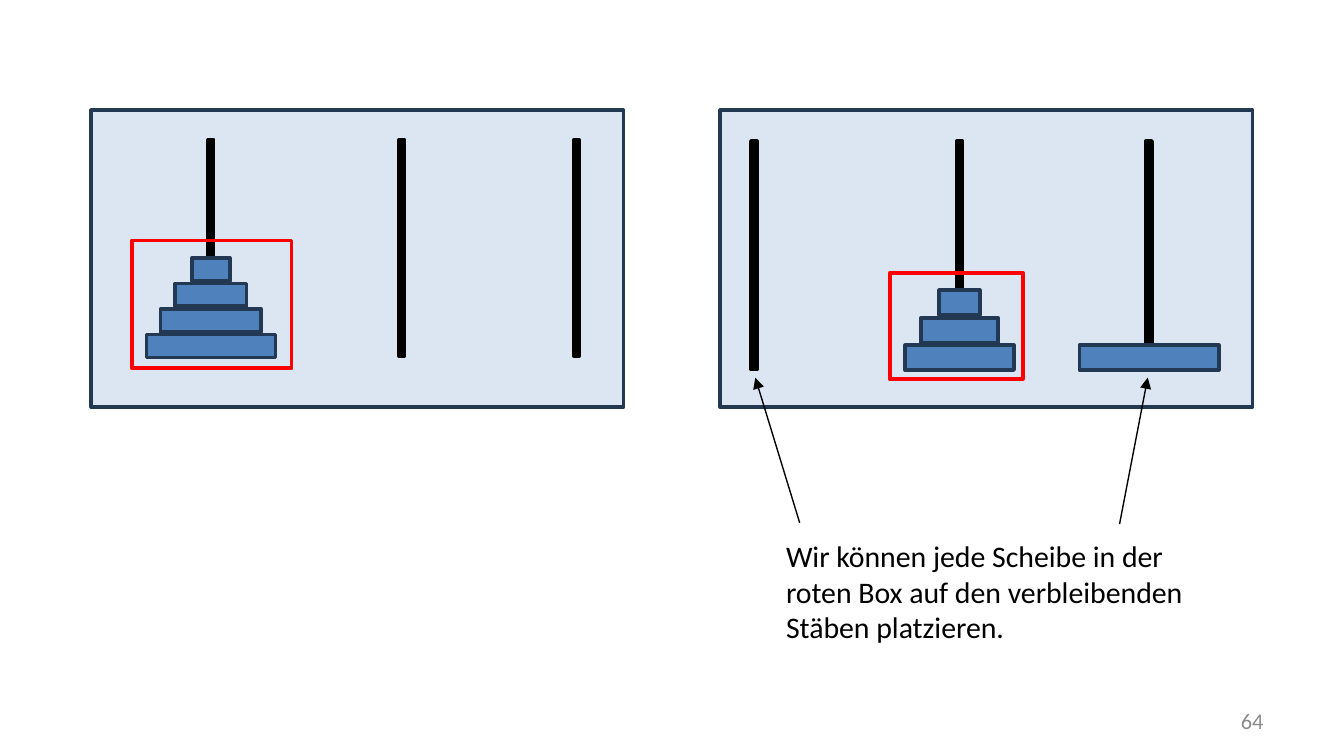
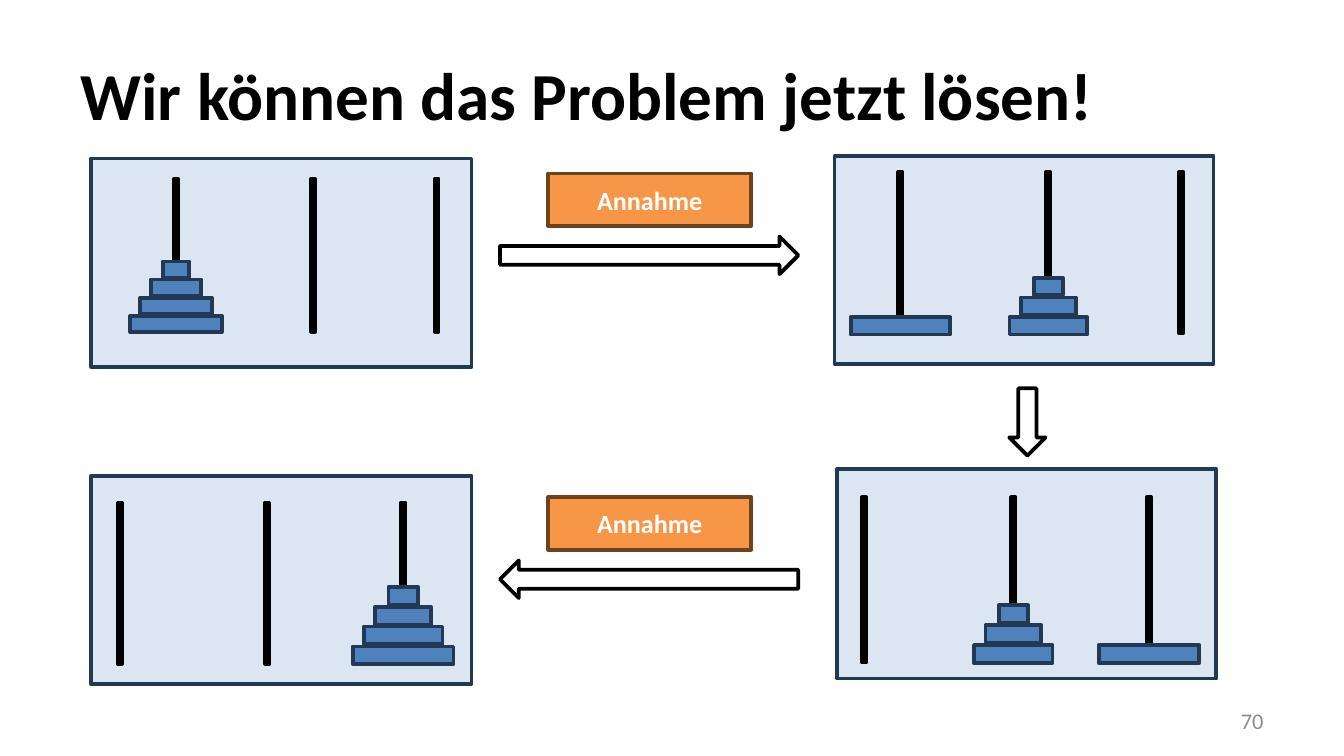
"""Build two slides that show the Towers of Hanoi solved by recursion."""
from dataclasses import dataclass
from typing import Optional

from lxml import etree
from pptx import Presentation
from pptx.dml.color import RGBColor
from pptx.enum.shapes import MSO_CONNECTOR, MSO_SHAPE
from pptx.enum.text import MSO_ANCHOR, MSO_AUTO_SIZE, PP_ALIGN
from pptx.oxml.ns import qn
from pptx.shapes.autoshape import Shape
from pptx.slide import Slide
from pptx.util import Inches, Pt

RECTANGLE = MSO_SHAPE.RECTANGLE
RIGHT_ARROW = MSO_SHAPE.RIGHT_ARROW
DOWN_ARROW = MSO_SHAPE.DOWN_ARROW
STRAIGHT = MSO_CONNECTOR.STRAIGHT
MIDDLE = MSO_ANCHOR.MIDDLE
LEFT, CENTER, RIGHT = PP_ALIGN.LEFT, PP_ALIGN.CENTER, PP_ALIGN.RIGHT
NO_AUTOFIT = MSO_AUTO_SIZE.NONE

TITLE_ONLY_LAYOUT, BLANK_LAYOUT = 5, 6
DISK_WIDTHS = (0.96, 0.75, 0.53, 0.28)
DISK_HEIGHT, DISK_PITCH, ROD_WIDTH = 0.17, 0.19, 0.04
ALL_DISKS = DISK_WIDTHS
LARGEST_DISK = DISK_WIDTHS[:1]
SMALLER_DISKS = DISK_WIDTHS[1:]
NO_DISKS = ()


@dataclass(frozen=True)
class Theme:
    """Colours, font and type sizes of the deck."""
    font: str = "Calibri"
    black: str = "000000"
    white: str = "FFFFFF"
    gray: str = "8C8C8C"
    red: str = "FF0000"
    board: str = "DCE6F2"
    disk: str = "4F81BD"
    navy: str = "233953"
    orange: str = "F79646"
    brown: str = "6C421F"
    title_size: int = 36
    body_size: int = 16
    label_size: int = 14
    number_size: int = 12
    outline: float = 2
    thin_line: float = 0.75


THEME = Theme()


@dataclass(frozen=True)
class Box:
    """Position and size in inches."""
    left: float
    top: float
    width: float
    height: float


@dataclass(frozen=True)
class Rod:
    """Centre of a rod and the disks on it, largest first."""
    center: float
    disks: tuple[float, ...] = NO_DISKS


@dataclass(frozen=True)
class Board:
    """A game board with its rods and disks."""
    box: Box
    scale: float
    rod_top: float
    rod_height: float
    disk_top: float
    rods: tuple[Rod, ...]


@dataclass(frozen=True)
class Step:
    """An assumed move: its label and the arrow below it."""
    label_top: float
    arrow_top: float
    rotation: int


FIRST_BOARDS = (
    Board(Box(0.68, 0.82, 3.96, 2.21), 1, 1.04, 1.61, 2.49,
          (Rod(1.57, ALL_DISKS), Rod(2.99), Rod(4.29))),
    Board(Box(5.36, 0.82, 3.96, 2.21), 1.08, 1.05, 1.7, 2.57,
          (Rod(5.61), Rod(7.14, SMALLER_DISKS), Rod(8.55, LARGEST_DISK))),
)
RED_BOXES = (Box(0.98, 1.79, 1.19, 0.95), Box(6.62, 2.03, 0.99, 0.79))
POINTERS = ((5.95, 3.89, 5.62, 2.81), (8.33, 3.9, 8.54, 2.81))
SOLUTION_BOARDS = (
    Board(Box(0.68, 1.18, 2.83, 1.55), 0.71, 1.33, 1.14, 2.35,
          (Rod(1.31, ALL_DISKS), Rod(2.33), Rod(3.25))),
    Board(Box(6.21, 1.16, 2.82, 1.55), 0.77, 1.28, 1.2, 2.36,
          (Rod(6.7, LARGEST_DISK), Rod(7.8, SMALLER_DISKS), Rod(8.79))),
    Board(Box(6.23, 3.49, 2.82, 1.56), 0.78, 3.7, 1.23, 4.8,
          (Rod(6.43), Rod(7.54, SMALLER_DISKS), Rod(8.55, LARGEST_DISK))),
    Board(Box(0.68, 3.54, 2.83, 1.55), 0.78, 3.74, 1.2, 4.81,
          (Rod(0.89), Rod(1.99), Rod(3, ALL_DISKS))),
)
STEPS = (Step(1.29, 1.76, 0), Step(3.7, 4.17, 180))


def lengths(box: Box) -> tuple[int, ...]:
    """Return the left, top, width and height as lengths."""
    return Inches(box.left), Inches(box.top), Inches(box.width), Inches(box.height)


def add_outlined(shapes, kind: MSO_SHAPE, box: Box, line: str,
                 fill: Optional[str] = None) -> Shape:
    """Add a preset shape with an outline and an optional fill."""
    shape = shapes.add_shape(kind, *lengths(box))
    shape.shadow.inherit = False
    if fill:
        shape.fill.solid()
        shape.fill.fore_color.rgb = RGBColor.from_string(fill)
    else:
        shape.fill.background()
    shape.line.color.rgb = RGBColor.from_string(line)
    shape.line.width = Pt(THEME.outline)
    return shape


def write(shape: Shape, text: str, size: int, color: str,
          alignment: PP_ALIGN = LEFT, bold: bool = False) -> None:
    """Put one formatted paragraph into a shape."""
    frame = shape.text_frame
    frame.text = text
    frame.word_wrap = True
    paragraph = frame.paragraphs[0]
    paragraph.alignment = alignment
    font = paragraph.runs[0].font
    font.name = THEME.font
    font.size = Pt(size)
    font.bold = bold
    font.color.rgb = RGBColor.from_string(color)


def add_board(slide: Slide, board: Board) -> None:
    """Draw a board with rods and stacked disks as one group."""
    shapes = slide.shapes.add_group_shape().shapes
    add_outlined(shapes, RECTANGLE, board.box, THEME.navy, THEME.board)
    rod_width = ROD_WIDTH * board.scale
    for rod in board.rods:
        rod_box = Box(rod.center - rod_width / 2, board.rod_top, rod_width, board.rod_height)
        add_outlined(shapes, RECTANGLE, rod_box, THEME.black, THEME.black)
        for level, disk in enumerate(rod.disks):
            width = disk * board.scale
            disk_box = Box(rod.center - width / 2,
                           board.disk_top - level * DISK_PITCH * board.scale,
                           width, DISK_HEIGHT * board.scale)
            add_outlined(shapes, RECTANGLE, disk_box, THEME.navy, THEME.disk)


def add_pointer(slide: Slide, *ends: float) -> None:
    """Draw a thin line with an arrowhead at its end."""
    connector = slide.shapes.add_connector(STRAIGHT, *(Inches(end) for end in ends))
    connector.line.color.rgb = RGBColor.from_string(THEME.black)
    connector.line.width = Pt(THEME.thin_line)
    properties = connector._element.spPr
    etree.SubElement(properties.find(qn("a:ln")), qn("a:tailEnd"), type="triangle")
    etree.SubElement(properties, qn("a:effectLst"))


def add_step(slide: Slide, step: Step) -> None:
    """Draw the label and the block arrow of an assumed move."""
    arrow = add_outlined(slide.shapes, RIGHT_ARROW, Box(3.72, step.arrow_top, 2.22, 0.28),
                         THEME.black, THEME.white)
    arrow.rotation = step.rotation
    label = add_outlined(slide.shapes, RECTANGLE, Box(4.08, step.label_top, 1.51, 0.39),
                         THEME.brown, THEME.orange)
    write(label, "Annahme", THEME.label_size, THEME.white, CENTER, True)
    label.text_frame.vertical_anchor = MIDDLE


def add_page_number(slide: Slide, number: int) -> None:
    """Write the page number at the bottom right."""
    box = slide.shapes.add_textbox(*lengths(Box(7.17, 5.21, 2.33, 0.3)))
    write(box, str(number), THEME.number_size, THEME.gray, RIGHT)
    box.text_frame.vertical_anchor = MIDDLE


def build_placement_slide(presentation: Presentation) -> None:
    """Show where the disks in the red box may go."""
    slide = presentation.slides.add_slide(presentation.slide_layouts[BLANK_LAYOUT])
    add_page_number(slide, 64)
    for board, red_box in zip(FIRST_BOARDS, RED_BOXES):
        add_board(slide, board)
        add_outlined(slide.shapes, RECTANGLE, red_box, THEME.red)
    for pointer in POINTERS:
        add_pointer(slide, *pointer)
    note = slide.shapes.add_textbox(*lengths(Box(5.75, 3.95, 3.31, 0.91)))
    write(note, "Wir können jede Scheibe in der roten Box auf den "
          "verbleibenden Stäben platzieren.", THEME.body_size, THEME.black)


def build_solution_slide(presentation: Presentation) -> None:
    """Show the whole solution as four boards."""
    slide = presentation.slides.add_slide(presentation.slide_layouts[TITLE_ONLY_LAYOUT])
    title = slide.shapes.title
    title.left, title.top, title.width, title.height = lengths(Box(0.5, 0.23, 9, 0.94))
    write(title, "Wir können das Problem jetzt lösen!", THEME.title_size, THEME.black, bold=True)
    title.text_frame.vertical_anchor = MIDDLE
    title.text_frame.auto_size = NO_AUTOFIT
    add_page_number(slide, 70)
    for board in SOLUTION_BOARDS:
        add_board(slide, board)
    for step in STEPS:
        add_step(slide, step)
    add_outlined(slide.shapes, DOWN_ARROW, Box(7.51, 2.89, 0.27, 0.5), THEME.black)


def main() -> None:
    """Create and save the presentation."""
    presentation = Presentation()
    presentation.slide_width = Inches(10)
    presentation.slide_height = Inches(10 * 9 / 16)
    build_placement_slide(presentation)
    build_solution_slide(presentation)
    presentation.save("out.pptx")


if __name__ == "__main__":
    main()
